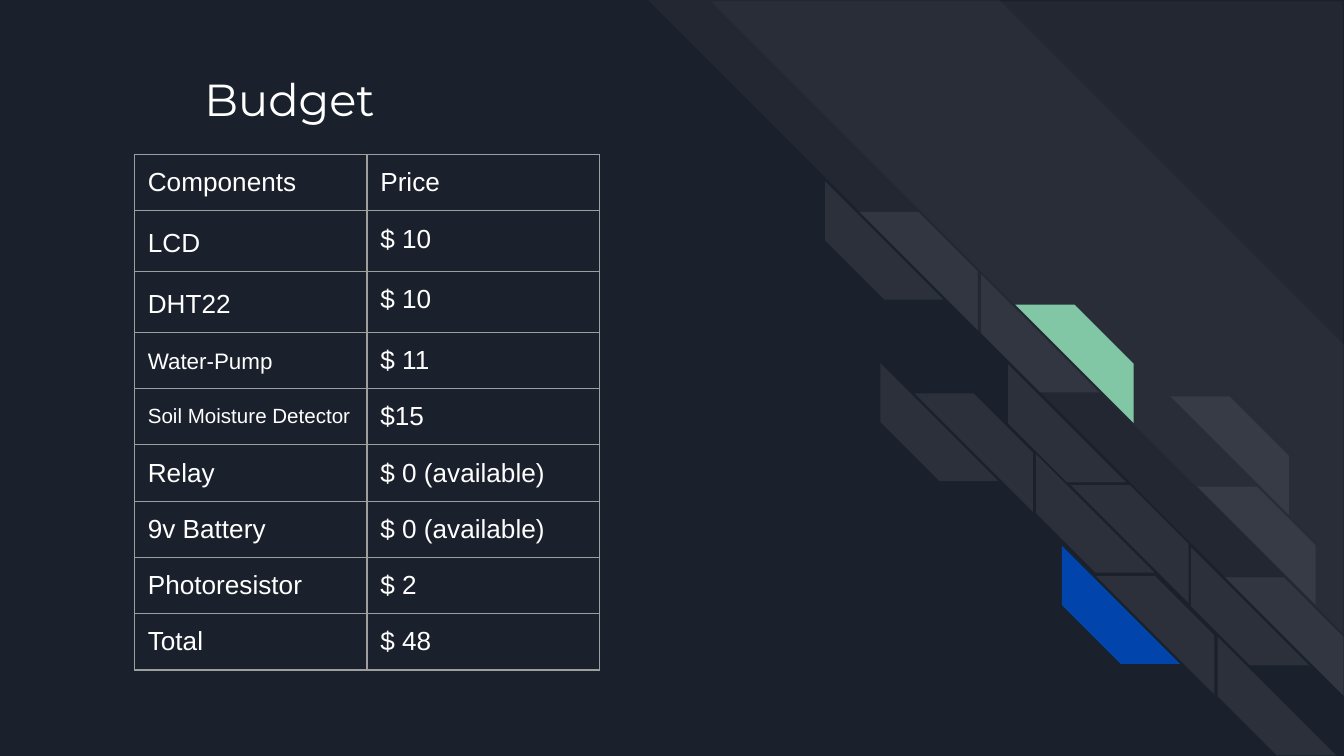
from dataclasses import dataclass
from typing import NamedTuple, Optional

from lxml.etree import SubElement
from pptx import Presentation
from pptx.dml.color import RGBColor
from pptx.enum.shapes import MSO_SHAPE
from pptx.enum.text import MSO_ANCHOR, MSO_AUTO_SIZE, PP_ALIGN
from pptx.oxml.ns import qn
from pptx.util import Inches, Pt

WIDE, HIGH = 10, 5.625
COLS, ROWS = 100, 56.25


class Tint(NamedTuple):
    color: str
    alpha: int = 100


@dataclass(frozen=True)
class Theme:
    back: str = "1B212C"
    text: str = "FFFFFF"
    line: str = "9E9E9E"
    band: Tint = Tint("FFFFFF", 3)
    pale: Tint = Tint("FFFFFF", 7)
    green: Tint = Tint("82C7A5")
    blue: Tint = Tint("0145AC")
    head: str = "Montserrat"
    body: str = "Arial"
    title: int = 24
    cell: int = 14
    small: int = 12
    tiny: int = 11
    rule: float = 0.75


LOOK = Theme()


class Brick(NamedTuple):
    col: float
    row: float
    left: Optional[Tint] = LOOK.pale
    right: Optional[Tint] = LOOK.pale


class Item(NamedTuple):
    name: str
    price: str
    size: int = LOOK.cell
    space: Optional[float] = None


SIDE = 8.8
STEP = (2.55, 2.27)
BRICKS = [
    Brick(61.4, 13.5),
    Brick(65.5, 27),
    Brick(73, 20.4, right=LOOK.green),
    Brick(75, 27.1, right=None),
    Brick(84.55, 27.23, left=None),
    Brick(86.55, 33.93, left=None),
    Brick(77.1, 33.8),
    Brick(79, 40.6, left=LOOK.blue),
    Brick(88.6, 40.7),
    Brick(90.6, 47.4, right=None),
]
ITEMS = [
    Item("Components", "Price"),
    Item("LCD", "$ 10", space=1.15),
    Item("DHT22", "$ 10", space=1.15),
    Item("Water-Pump", "$ 11", LOOK.small, 1.15),
    Item("Soil Moisture Detector", "$15", LOOK.tiny, 1.15),
    Item("Relay", "$ 0 (available)"),
    Item("9v Battery", "$ 0 (available)"),
    Item("Photoresistor", "$ 2"),
    Item("Total", "$ 48"),
]


def across(cols: float) -> int:
    return Inches(cols * WIDE / COLS)


def down(rows: float) -> int:
    return Inches(rows * HIGH / ROWS)


def write(frame, text: str, *, font: str, size: int, space: Optional[float] = None) -> None:
    para = frame.paragraphs[0]
    para.alignment = PP_ALIGN.LEFT
    if space:
        para.line_spacing = space
    run = para.add_run()
    run.text = text
    run.font.name = font
    run.font.size = Pt(size)
    run.font.color.rgb = RGBColor.from_string(LOOK.text)


def stripe(slide, col: float, row: float, side: float, tint: Tint, *,
           turn: int = 0, flip: bool = False, cut: float = 0.5) -> None:
    shape = slide.shapes.add_shape(
        MSO_SHAPE.DIAGONAL_STRIPE, across(col), down(row), across(side), down(side))
    shape.adjustments[0] = cut
    shape.rotation = turn
    shape.shadow.inherit = False
    shape.line.fill.background()
    shape.fill.solid()
    shape.fill.fore_color.rgb = RGBColor.from_string(tint.color)
    if flip:
        shape.element.spPr.find(qn("a:xfrm")).set("flipH", "1")
    if tint.alpha < 100:
        color = shape.element.spPr.find(qn("a:solidFill"))[0]
        SubElement(color, qn("a:alpha"), val=str(tint.alpha * 1000))


def lay(slide, brick: Brick) -> None:
    if brick.left:
        stripe(slide, brick.col, brick.row, SIDE, brick.left, turn=270)
    if brick.right:
        stripe(slide, brick.col + STEP[0], brick.row + STEP[1], SIDE, brick.right, flip=True)


def label(slide, text: str) -> None:
    title = slide.shapes.title
    title.left, title.top = across(14.2), down(4.3)
    title.width, title.height = across(77), down(10)
    frame = title.text_frame
    frame.auto_size = MSO_AUTO_SIZE.NONE
    frame.word_wrap = True
    frame.vertical_anchor = MSO_ANCHOR.TOP
    frame.margin_left = frame.margin_right = across(1)
    frame.margin_top = frame.margin_bottom = down(1)
    write(frame, text, font=LOOK.head, size=LOOK.title)
    title.element.getparent().append(title.element)


def border(cell) -> None:
    props = cell._tc.get_or_add_tcPr()
    for edge in ("lnL", "lnR", "lnT", "lnB"):
        line = SubElement(props, qn(f"a:{edge}"), w=str(Pt(LOOK.rule)))
        fill = SubElement(line, qn("a:solidFill"))
        SubElement(fill, qn("a:srgbClr"), val=LOOK.line)


def budget(slide, items: list[Item]) -> None:
    wide, high = 17.3, 2.7
    table = slide.shapes.add_table(
        len(items), 2, across(10), down(11.5),
        across(2 * wide), down(high * len(items))).table
    table.first_row = table.horz_banding = False
    for column in table.columns:
        column.width = across(wide)
    for row, item in zip(table.rows, items):
        row.height = down(high)
        name, price = row.cells
        write(name.text_frame, item.name, font=LOOK.body, size=item.size, space=item.space)
        write(price.text_frame, item.price, font=LOOK.body, size=LOOK.cell)
        for cell in (name, price):
            cell.margin_left = cell.margin_right = across(1)
            cell.margin_top = cell.margin_bottom = down(1)
            border(cell)
            cell.fill.background()


def main() -> None:
    deck = Presentation()
    deck.slide_width, deck.slide_height = Inches(WIDE), Inches(HIGH)
    slide = deck.slides.add_slide(deck.slide_layouts[5])
    slide.background.fill.solid()
    slide.background.fill.fore_color.rgb = RGBColor.from_string(LOOK.back)
    stripe(slide, 48.2, 0, 51.8, LOOK.band, turn=90, cut=0.495)
    stripe(slide, 52.9, 0.1, 47, LOOK.band, turn=90, cut=0)
    for brick in BRICKS:
        lay(slide, brick)
    label(slide, "Budget")
    budget(slide, ITEMS)
    deck.save("out.pptx")


if __name__ == "__main__":
    main()
